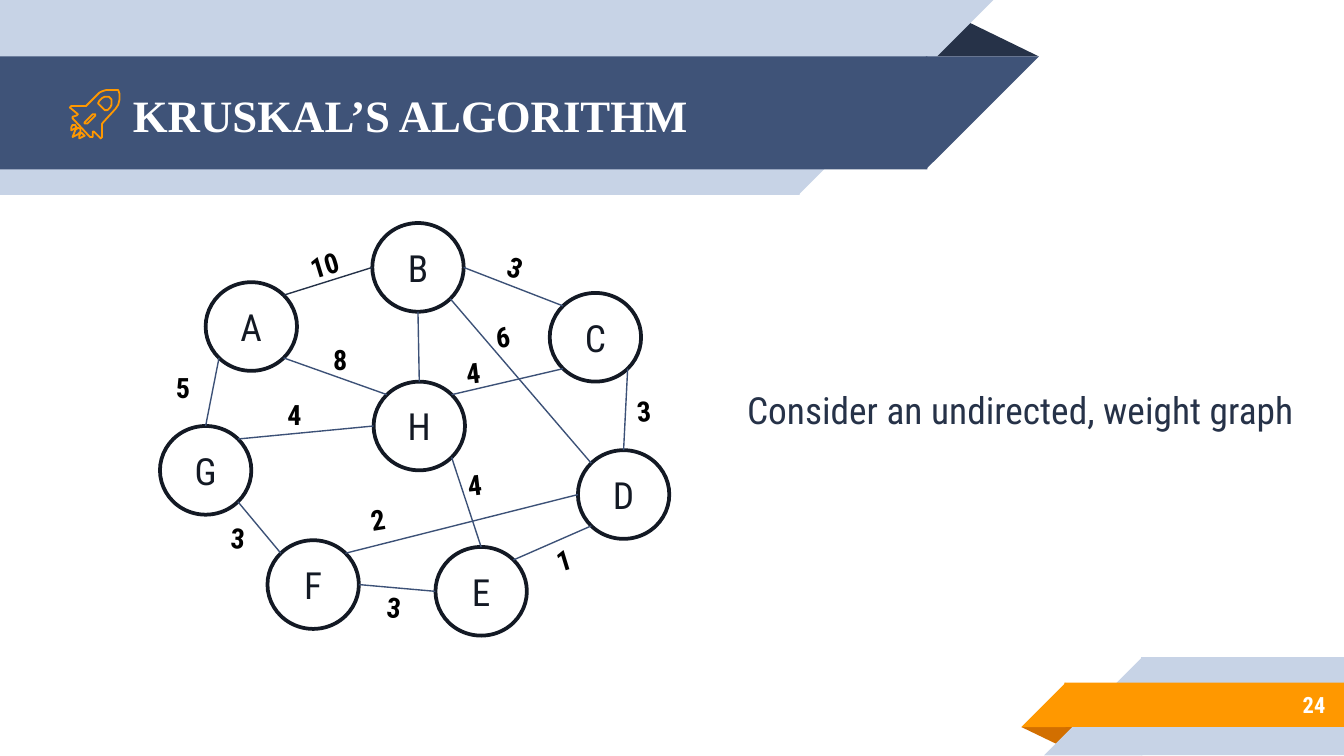
from math import cos, radians, sin

from lxml import etree
from pptx import Presentation
from pptx.dml.color import RGBColor
from pptx.enum.shapes import MSO_CONNECTOR as Connector, MSO_SHAPE as Shape
from pptx.enum.text import MSO_ANCHOR as Anchor, MSO_AUTO_SIZE as AutoSize, PP_ALIGN as Align
from pptx.oxml.ns import qn
from pptx.util import Inches, Pt

BODY_FONT = "Roboto Condensed"
NAVY, INDIGO, PALE = "263248", "3F5378", "C7D3E6"
ORANGE, RUST, WHITE, INK = "FF9800", "D26F00", "FFFFFF", "131924"
SEAM = 0.01

NODE_WIDTH, NODE_HEIGHT = 0.68, 0.66
NODES = {
    "A": (0.34, 0.44), "B": (1.58, 0), "C": (2.9, 0.52), "D": (3.11, 1.69),
    "H": (1.59, 1.18), "G": (0, 1.51), "E": (2.05, 2.41), "F": (0.8, 2.36),
}
ANGLES = {"E": 0, "SE": 45, "S": 90, "SW": 135, "W": 180, "NW": 225, "N": 270, "NE": 315}
EDGES = [
    ("A", "NE", "B", "W"), ("B", "E", "C", "NW"), ("C", "SE", "D", "N"),
    ("D", "SW", "E", "NE"), ("E", "W", "F", "E"), ("F", "NW", "G", "SE"),
    ("G", "N", "A", "SW"), ("B", "S", "H", "N"), ("B", "SE", "D", "NW"),
    ("D", "W", "F", "NE"), ("H", "SE", "E", "N"), ("A", "SE", "H", "NW"),
    ("H", "W", "G", "NE"), ("C", "SW", "H", "NE"),
]
WEIGHTS = [
    ("10", 1.02, 0.13, 343.1), ("3", 2.49, 0.18, 19.1), ("4", 2.19, 1.76, 353.4),
    ("2", 1.47, 2.02, 350.8), ("4", 0.85, 1.25, 0), ("5", 0.02, 1.05, 0),
    ("3", 0.43, 2.17, 3.9), ("3", 1.59, 2.69, 6.1), ("1", 2.85, 2.31, 343.1),
    ("4", 2.18, 0.93, 353.4), ("6", 2.4, 0.66, 353.4), ("8", 1.19, 0.84, 0),
    ("3", 3.45, 1.22, 355.8),
]
ROCKET_PARTS = [
    [
        [(24, 35), (24, 25), (34, 14), (36, 11), (37, 7), (37, 3), (36, 0), (32, 0),
         (27, 0), (24, 1), (22, 2), (12, 12), (1, 12), (0, 13), (6, 18), (5, 19),
         (2, 20), (2, 21), (15, 35), (17, 35), (17, 31), (18, 31), (23, 36)],
        [(13, 25), (11, 25), (11, 24), (17, 18), (19, 18), (19, 19)],
        [(28, 15), (26, 15), (22, 11), (21, 10), (22, 8), (24, 6), (26, 5),
         (29, 5), (31, 7), (31, 11), (30, 13)],
    ],
    [[(8, 29), (6, 28), (4, 30), (2, 35), (6, 33), (8, 31)]],
    [[(10, 33), (9, 32), (8, 32), (7, 34), (7, 36), (9, 35), (11, 34)]],
    [[(4, 26), (2, 26), (1, 28), (1, 30), (3, 29), (5, 28)]],
]


def color(value):
    return RGBColor.from_string(value)


def write(shape, text, size, ink, font=BODY_FONT, bold=False, align=Align.LEFT,
          **frame_format):
    frame = shape.text_frame
    for name, value in {"word_wrap": True, **frame_format}.items():
        setattr(frame, name, value)
    para = frame.paragraphs[0]
    para.alignment = align
    span = para.add_run()
    span.text = text
    for name, value in {"name": font, "size": Pt(size), "bold": bold}.items():
        setattr(span.font, name, value)
    span.font.color.rgb = color(ink)


def add_text(page, box, text, size, ink, rotation=0, **text_format):
    shape = page.shapes.add_textbox(*map(Inches, box))
    shape.rotation = rotation
    write(shape, text, size, ink, **text_format)


def add_solid(page, kind, box, fill, rotation=0, flip=False, apex=None):
    shape = page.shapes.add_shape(kind, *map(Inches, box))
    shape.shadow.inherit = False
    shape.fill.solid()
    shape.fill.fore_color.rgb = color(fill)
    shape.line.fill.background()
    shape.rotation = rotation
    if flip:
        shape.element.spPr.find(qn("a:xfrm")).set("flipH", "1")
    if apex is not None:
        shape.adjustments[0] = apex
    return shape


def add_band(page, left, top, width, height, fill, slant_right):
    body_left = left if slant_right else left - SEAM
    slant_left = left + width if slant_right else left - height
    add_solid(page, Shape.RECTANGLE, (body_left, top, width + SEAM, height), fill)
    add_solid(page, Shape.RIGHT_TRIANGLE, (slant_left, top, height, height), fill,
              rotation=180 if slant_right else 0, flip=True)


def add_rocket(page, left, top):
    for contours in ROCKET_PARTS:
        outline = page.shapes.build_freeform(*contours[0][0], scale=Inches(0.01))
        for index, points in enumerate(contours):
            if index:
                outline.move_to(*points[0])
            outline.add_line_segments(points[1:], close=True)
        shape = outline.convert_to_shape(Inches(left), Inches(top))
        shape.shadow.inherit = False
        shape.fill.background()
        shape.line.color.rgb = color(ORANGE)
        shape.line.width = Pt(0.96)


def add_header(page, left, top):
    add_solid(page, Shape.ISOSCELES_TRIANGLE, (left + 6.88, top + 0.14, 0.85, 0.28),
              NAVY, apex=0.324)
    add_band(page, left, top, 5.94, 1.45, PALE, True)
    add_band(page, left, top + 0.42, 6.89, 0.84, INDIGO, True)
    add_text(page, (left + 0.89, top + 0.43, 5.75, 0.84), "KRUSKAL’S ALGORITHM", 24, WHITE,
             font="Times New Roman", bold=True, vertical_anchor=Anchor.MIDDLE)
    add_rocket(page, left + 0.52, top + 0.67)


def add_footer(page, left, top):
    add_solid(page, Shape.ISOSCELES_TRIANGLE, (left, top + 0.52, 0.43, 0.14), RUST,
              rotation=180, apex=0.324)
    add_band(page, left + 0.9, top, 1.5, 0.73, PALE, False)
    add_band(page, left + 0.33, top + 0.19, 2.07, 0.33, ORANGE, False)
    add_text(page, (left + 0.73, top + 0.18, 1.63, 0.35), "24", 12, WHITE, bold=True,
             align=Align.RIGHT, vertical_anchor=Anchor.MIDDLE)


def node_point(name, side):
    x, y = NODES[name]
    angle = radians(ANGLES[side])
    return (x + NODE_WIDTH / 2 * (1 + cos(angle)),
            y + NODE_HEIGHT / 2 * (1 + sin(angle)))


def add_graph(page, left, top):
    for name, (x, y) in NODES.items():
        node = add_solid(page, Shape.OVAL, (left + x, top + y, NODE_WIDTH, NODE_HEIGHT), WHITE)
        node.line.color.rgb = color(INK)
        node.line.width = Pt(2)
        write(node, name, 20, INK, align=Align.CENTER, vertical_anchor=Anchor.MIDDLE)
    for start, start_side, end, end_side in EDGES:
        x1, y1 = node_point(start, start_side)
        x2, y2 = node_point(end, end_side)
        ends = (left + x1, top + y1, left + x2, top + y2)
        edge = page.shapes.add_connector(Connector.STRAIGHT, *map(Inches, ends))
        edge.line.color.rgb = color("243147" if (start, end) == ("A", "B") else "3C5177")
        edge.line.width = Pt(0.75)
        etree.SubElement(edge.element.spPr, qn("a:effectLst"))
    for weight, x, y, rotation in WEIGHTS:
        add_text(page, (left + x, top + y, 0.46, 0.35), weight, 15, "000000", rotation,
                 bold=True, auto_size=AutoSize.SHAPE_TO_FIT_TEXT)


def main():
    deck = Presentation()
    deck.slide_width = Inches(10)
    deck.slide_height = deck.slide_width * 9 // 16
    page = deck.slides.add_slide(deck.slide_layouts[6])
    add_header(page, 0, 0)
    add_footer(page, 7.6, 4.89)
    add_graph(page, 1.19, 1.66)
    add_text(page, (5.46, 2.83, 4.31, 0.44), "Consider an undirected, weight graph", 20, NAVY,
             word_wrap=False, auto_size=AutoSize.SHAPE_TO_FIT_TEXT)
    deck.save("out.pptx")


if __name__ == "__main__":
    main()
